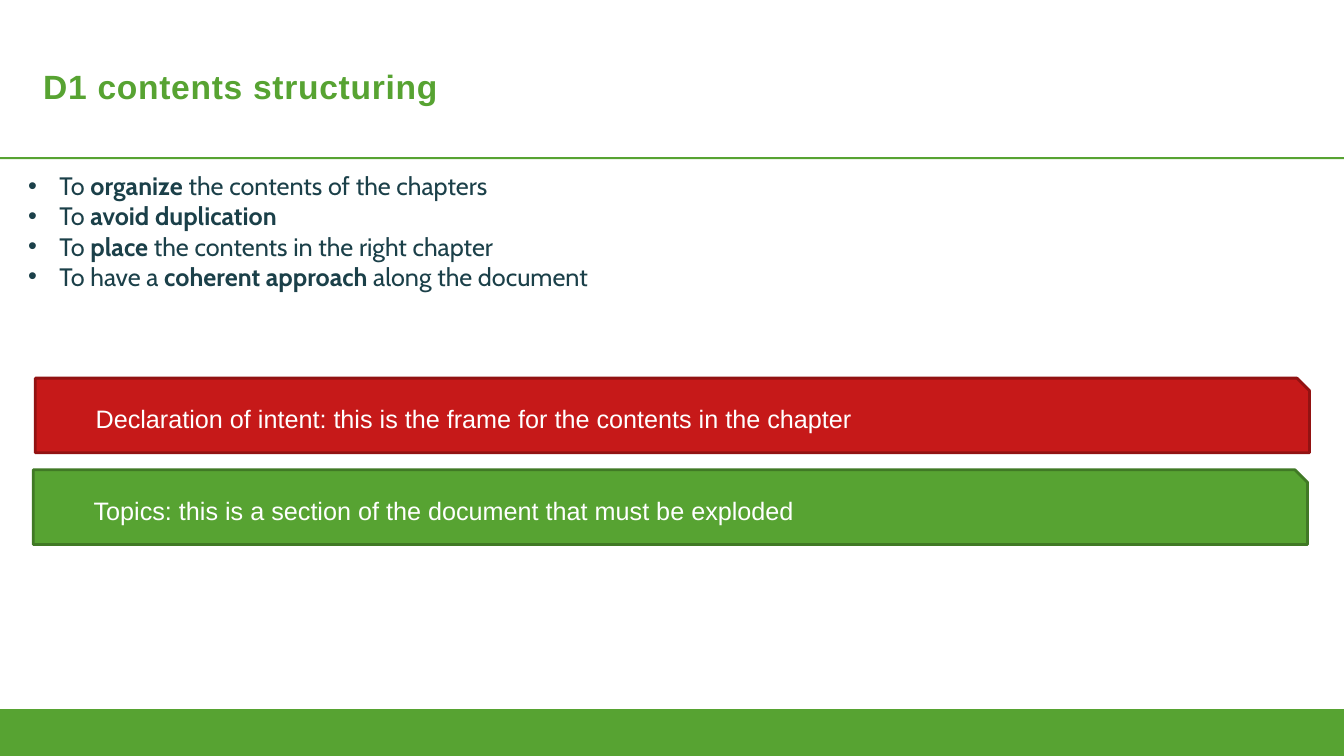
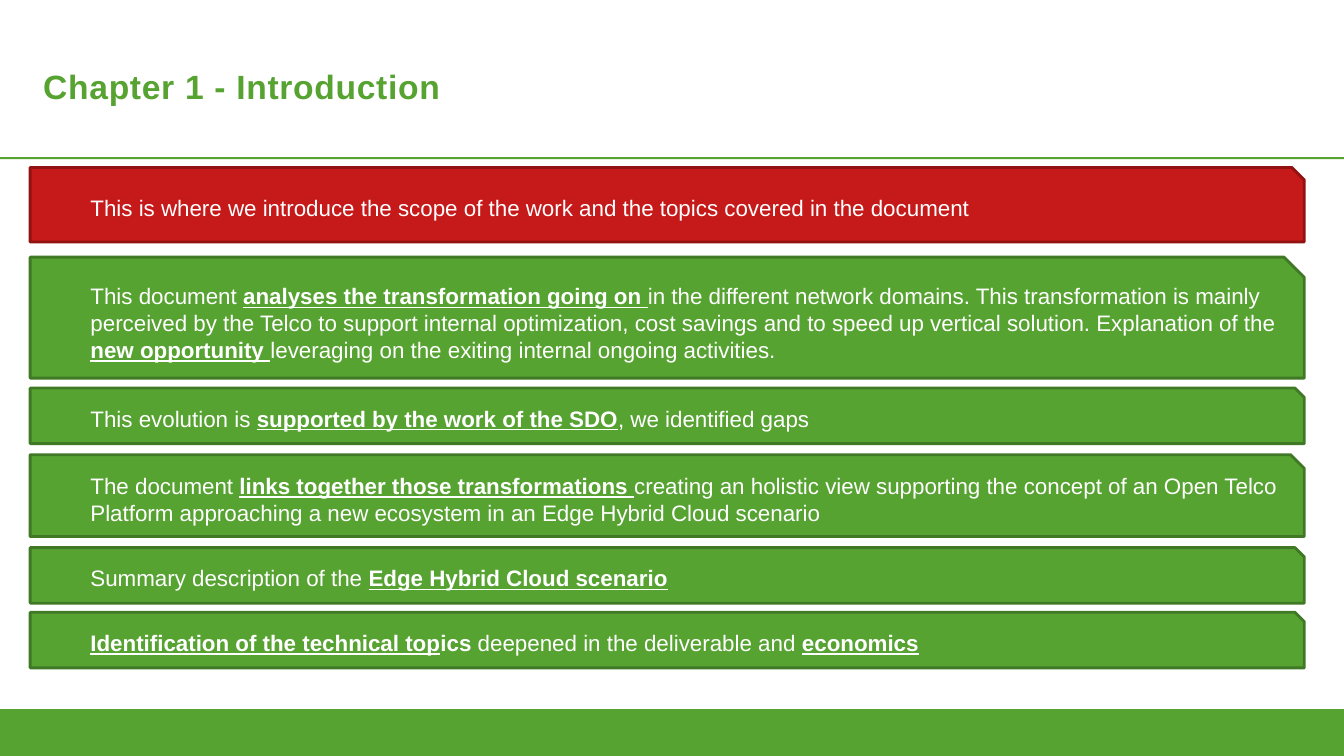
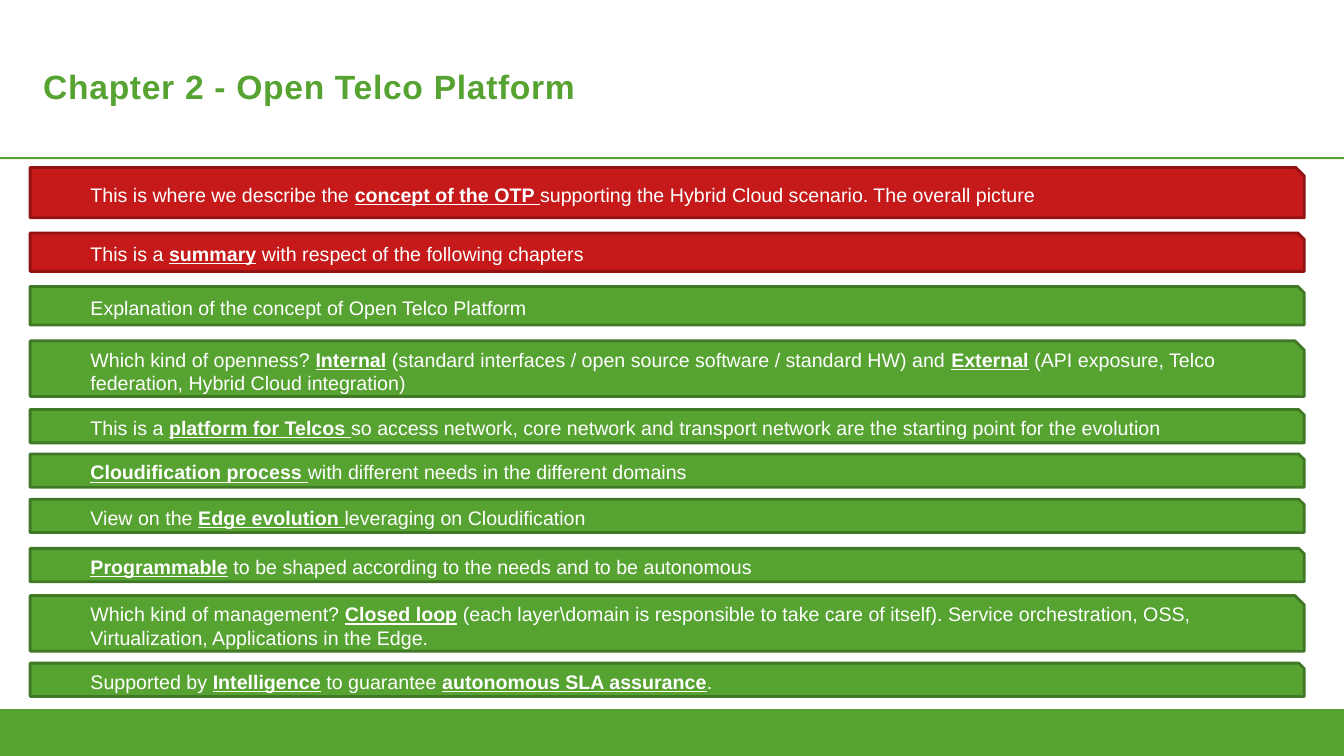
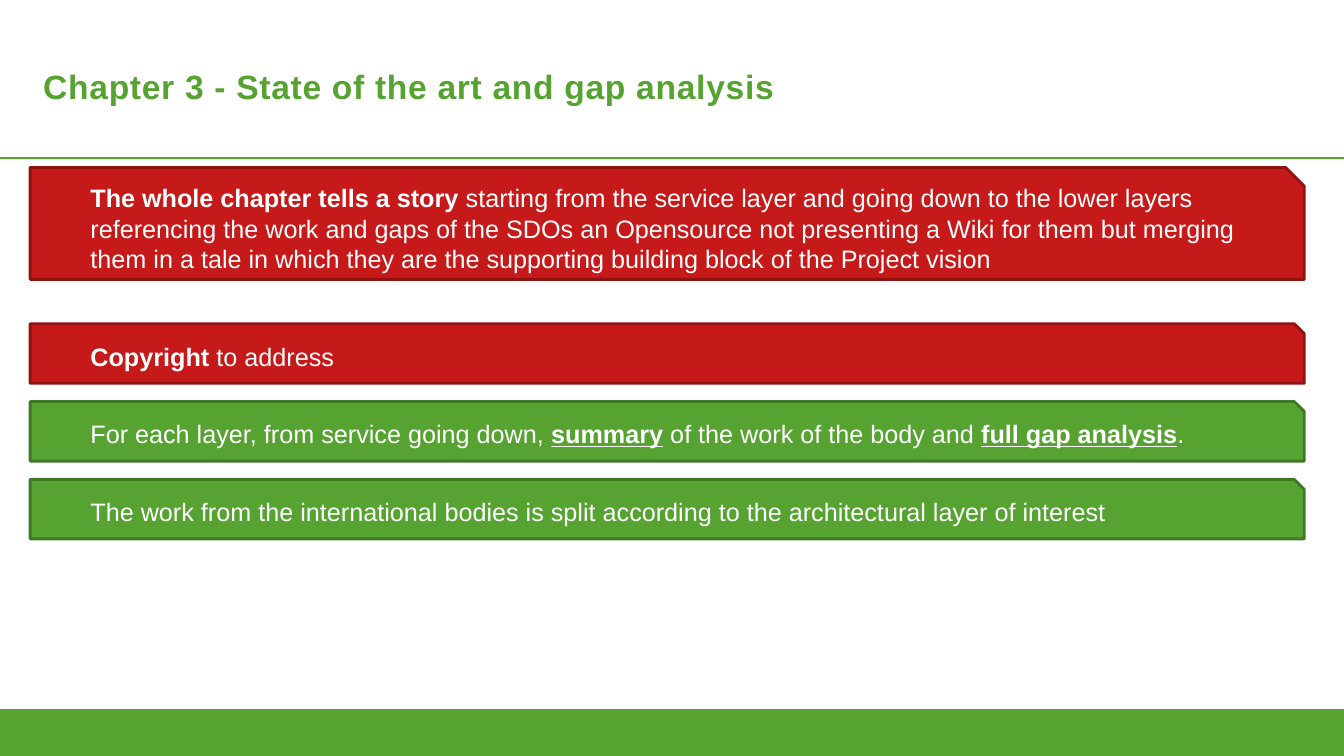
from dataclasses import dataclass

from lxml.etree import SubElement
from pptx import Presentation
from pptx.dml.color import RGBColor
from pptx.enum.shapes import MSO_SHAPE
from pptx.enum.text import MSO_ANCHOR, PP_ALIGN
from pptx.oxml.ns import qn
from pptx.util import Cm, Pt


@dataclass(frozen=True)
class Theme:
    green: str = "57A332"
    dark_green: str = "407925"
    red: str = "C61919"
    dark_red: str = "921212"
    ink: str = "1B4049"
    white: str = "FFFFFF"
    heading_font: str = "Arial"
    body_font: str = "Cabin"
    title_size: int = 24
    large: int = 18
    medium: int = 16
    small: int = 14
    outline: int = 2


THEME = Theme()
SLIDE_WIDTH, SLIDE_HEIGHT = 33.87, 19.05
BAR_LEFT, BAR_TOP, BAR_WIDTH = 0.76, 4.22, 32.11
BAR_INDENT = 1.27
GAP = 0.38


@dataclass(frozen=True)
class Run:
    text: str
    bold: bool = False
    underline: bool = False


def strong(text):
    return Run(text, bold=True)


def key(text):
    return Run(text, bold=True, underline=True)


@dataclass(frozen=True)
class Bar:
    """One statement; gap is the space above it, in cm."""
    height: float
    runs: tuple
    gap: float = GAP


class Intent(Bar):
    fill, line = THEME.red, THEME.dark_red


class Topic(Bar):
    fill, line = THEME.green, THEME.dark_green


def write(frame, paragraphs, *, size, color, font, bold=False, spacing=None,
          anchor=MSO_ANCHOR.TOP, level=0, indent=0, bullet=None):
    """Fill a text frame; each paragraph is a sequence of strings and Runs."""
    frame.word_wrap = True
    frame.vertical_anchor = anchor
    for number, runs in enumerate(paragraphs):
        paragraph = frame.paragraphs[0] if number == 0 else frame.add_paragraph()
        paragraph.alignment = PP_ALIGN.LEFT
        paragraph.level = level
        properties = paragraph._p.get_or_add_pPr()
        properties.set("marL", str(Cm(indent)))
        properties.set("indent", str(-Cm(indent) if bullet else 0))
        if bullet:
            SubElement(properties, qn("a:buFont"), typeface="Arial")
            SubElement(properties, qn("a:buChar"), char=bullet)
        for part in runs:
            piece = part if isinstance(part, Run) else Run(part, bold)
            run = paragraph.add_run()
            run.text = piece.text
            run.font.size = Pt(size)
            run.font.name = font
            run.font.color.rgb = RGBColor.from_string(color)
            run.font.bold = piece.bold
            run.font.underline = piece.underline
            if spacing:
                run._r.get_or_add_rPr().set("spc", str(round(spacing * 100)))


def add_block(slide, preset, box, fill, line=None):
    block = slide.shapes.add_shape(preset, *map(Cm, box))
    block.shadow.inherit = False
    block.fill.solid()
    block.fill.fore_color.rgb = RGBColor.from_string(fill)
    if line:
        block.line.color.rgb = RGBColor.from_string(line)
        block.line.width = Pt(THEME.outline)
    else:
        block.line.fill.background()
    return block


def add_page(deck, title):
    """Slide with the shared footer band, rule and title."""
    slide = deck.slides.add_slide(deck.slide_layouts[6])
    footer_height = 1.18
    footer = (0, SLIDE_HEIGHT - footer_height, SLIDE_WIDTH, footer_height)
    title_rule = (0, 3.96, SLIDE_WIDTH, 0.05)
    for band in (footer, title_rule):
        add_block(slide, MSO_SHAPE.RECTANGLE, band, THEME.green)
    heading = slide.shapes.add_textbox(Cm(0.84), Cm(1.47), Cm(24.54), Cm(1.42))
    write(heading.text_frame, [[title]], size=THEME.title_size, color=THEME.green,
          font=THEME.heading_font, bold=True, spacing=0.5, anchor=MSO_ANCHOR.MIDDLE)
    return slide


def add_bars(slide, bars, size, left=BAR_LEFT, top=BAR_TOP):
    """Stack bars downwards from the given corner."""
    for number, bar in enumerate(bars):
        top += bar.gap if number else 0
        block = add_block(slide, MSO_SHAPE.SNIP_1_RECTANGLE,
                          (left, top, BAR_WIDTH, bar.height), bar.fill, bar.line)
        write(block.text_frame, [bar.runs], size=size, color=THEME.white,
              font=THEME.heading_font, anchor=MSO_ANCHOR.MIDDLE,
              level=1, indent=BAR_INDENT)
        top += bar.height


def add_goals(slide, goals, box):
    goal_list = slide.shapes.add_textbox(*map(Cm, box))
    write(goal_list.text_frame, goals, size=THEME.large, color=THEME.ink,
          font=THEME.body_font, indent=0.79, bullet="•")


GOALS = [
    ("To ", strong("organize"), " the contents of the chapters"),
    ("To ", strong("avoid duplication")),
    ("To ", strong("place"), " the contents in the right chapter"),
    ("To have a ", strong("coherent approach "), "along the document"),
]
INTENT_LEGEND = Intent(1.88, (
    "Declaration of intent: this is the frame for the contents in the chapter",))
TOPIC_LEGEND = Topic(1.88, (
    "Topics: this is a section of the document that must be exploded",))

INTRODUCTION = [
    Intent(1.88, ("This is where we introduce the scope of the work and the topics "
                  "covered in the document",)),
    Topic(3.05, (
        "This document ", key("analyses the transformation going on "),
        "in the different network domains. This transformation is mainly perceived "
        "by the Telco to support internal optimization, cost savings and to speed up "
        "vertical solution. Explanation of the ", key("new opportunity "),
        "leveraging on the exiting internal ongoing activities.")),
    Topic(1.4, ("This evolution is ", key("supported by the work of the SDO"),
                ", we identified gaps"), 0.25),
    Topic(2.06, (
        "The document ", key("links together those transformations "),
        "creating an holistic view supporting the concept of an Open Telco Platform "
        "approaching a new ecosystem in an Edge Hybrid Cloud scenario"), 0.28),
    Topic(1.4, ("Summary description of the ", key("Edge Hybrid Cloud scenario")), 0.28),
    Topic(1.4, (key("Identification of the technical top"), strong("ics "),
                "deepened in the deliverable and ", key("economics")), 0.23),
]

PLATFORM = [
    Intent(1.27, ("This is where we describe the ", key("concept of the OTP "),
                  "supporting the Hybrid Cloud scenario. The overall picture")),
    Intent(0.97, ("This is a ", key("summary"),
                  " with respect of the following chapters")),
    Topic(0.97, ("Explanation of the concept of Open Telco Platform",)),
    Topic(1.4, (
        "Which kind of openness? ", key("Internal"),
        " (standard interfaces / open source software / standard HW) and ",
        key("External"), " (API exposure, Telco federation, Hybrid Cloud integration)"),
        0.4),
    Topic(0.84, ("This is a ", key("platform for Telcos "),
                 "so access network, core network and transport network are the "
                 "starting point for the evolution"), 0.33),
    Topic(0.84, (key("Cloudification process "),
                 "with different needs in the different domains"), 0.28),
    Topic(0.84, ("View on the ", key("Edge evolution "),
                 "leveraging on Cloudification"), 0.3),
    Topic(0.84, (key("Programmable"),
                 " to be shaped according to the needs and to be autonomous"), 0.4),
    Topic(1.4, (
        "Which kind of management? ", key("Closed loop"),
        r" (each layer\domain is responsible to take care of itself). Service "
        "orchestration, OSS, Virtualization, Applications in the Edge."), 0.35),
    Topic(0.84, ("Supported by ", key("Intelligence"), " to guarantee ",
                 key("autonomous SLA assurance"), "."), 0.3),
]

GAP_ANALYSIS = [
    Intent(2.82, (
        strong("The whole chapter tells a story"),
        " starting from the service layer and going down to the lower layers "
        "referencing the work and gaps of the SDOs an Opensource not presenting a "
        "Wiki for them but merging them in a tale in which they are the supporting "
        "building block of the Project vision")),
    Intent(1.5, (strong("Copyright "), "to address"), 1.12),
    Topic(1.5, ("For each layer, from service going down, ", key("summary"),
                " of the work of the body and ", key("full gap analysis"), "."), 0.46),
    Topic(1.5, ("The work from the international bodies is split according to the "
                "architectural layer of interest",), 0.46),
]

CHAPTERS = [
    ("Chapter 1 - Introduction", INTRODUCTION, THEME.medium),
    ("Chapter 2 - Open Telco Platform", PLATFORM, THEME.small),
    ("Chapter 3 - State of the art and gap analysis", GAP_ANALYSIS, THEME.large),
]


def add_overview(deck):
    slide = add_page(deck, "D1 contents structuring")
    add_bars(slide, [INTENT_LEGEND], THEME.large, left=0.89, top=9.53)
    add_goals(slide, GOALS, (0.46, 4.17, 32.21, 4.88))
    add_bars(slide, [TOPIC_LEGEND], THEME.large, left=0.84, top=11.84)


def add_chapter(deck, title, bars, size):
    add_bars(add_page(deck, title), bars, size)


def main():
    deck = Presentation()
    deck.slide_width, deck.slide_height = Cm(SLIDE_WIDTH), Cm(SLIDE_HEIGHT)
    add_overview(deck)
    for chapter in CHAPTERS:
        add_chapter(deck, *chapter)
    deck.save("out.pptx")


if __name__ == "__main__":
    main()
